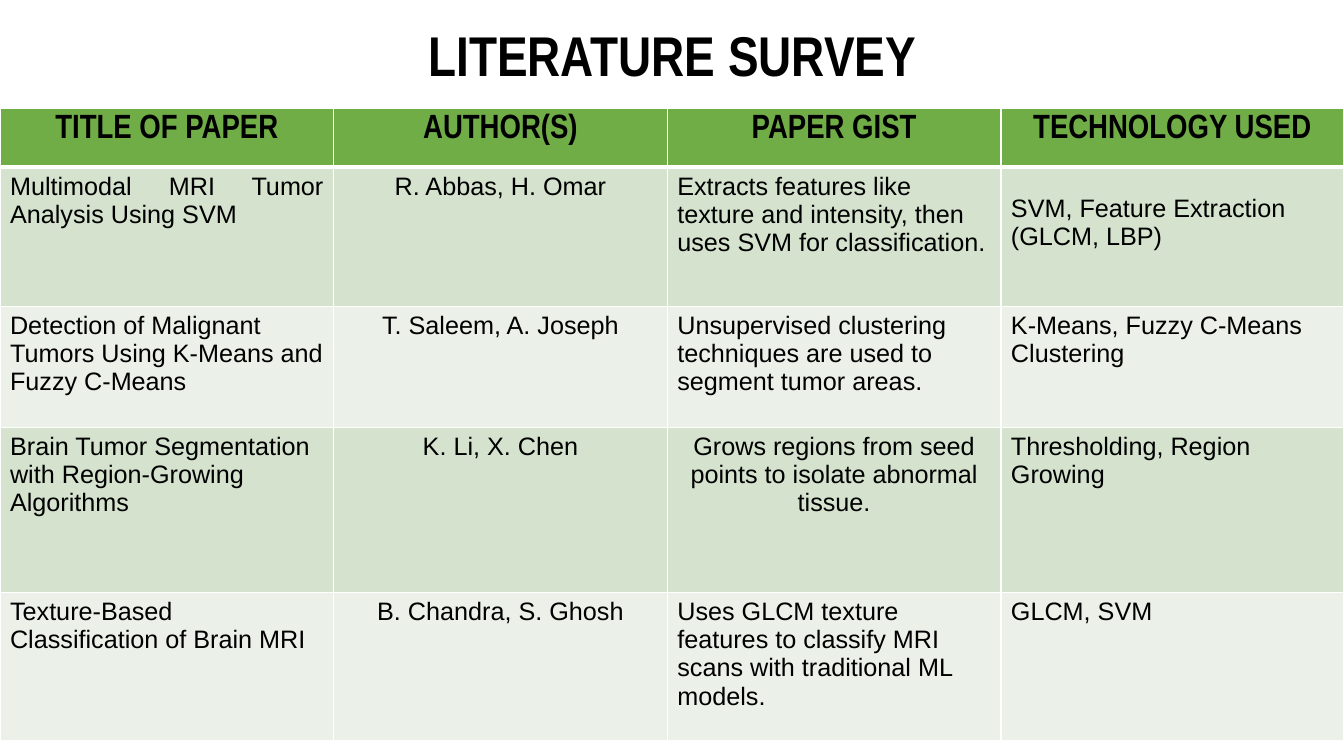
import pptx
import pptx.dml.color
import pptx.enum.text
import pptx.oxml
import pptx.oxml.ns
import pptx.util

PX = 9144  # EMU per px, 100 px to the inch
ALIGN = pptx.enum.text.PP_ALIGN
ANCHOR = pptx.enum.text.MSO_ANCHOR

THEME = {
    "ink": "000000",
    "rule": "FFFFFF",
    "header": "70AD47",
    "bands": ("D4E2CE", "EBF1E8"),
    "title_type": {"name": "Arial Narrow", "size": pptx.util.Pt(40), "bold": True},
    "header_type": {"name": "Arial Narrow", "size": pptx.util.Pt(24), "bold": True},
    "body_type": {"name": "Arial", "size": pptx.util.Pt(18), "bold": False},
}


def write(frame, text, type_format, alignment):
    paragraph = frame.paragraphs[0]
    paragraph.alignment = alignment
    run = paragraph.add_run()
    run.text = text
    for attribute, value in type_format.items():
        setattr(run.font, attribute, value)
    run.font.color.rgb = pptx.dml.color.RGBColor.from_string(THEME["ink"])


def add_border(cell, side, points):
    cell._tc.get_or_add_tcPr().append(pptx.oxml.parse_xml(
        f'<a:{side} {pptx.oxml.ns.nsdecls("a")} w="{pptx.util.Pt(points)}">'
        f'<a:solidFill><a:srgbClr val="{THEME["rule"]}"/></a:solidFill></a:{side}>'))


presentation = pptx.Presentation()
presentation.slide_width = pptx.util.Inches(13.333)
presentation.slide_height = 750 * PX
slide = presentation.slides.add_slide(presentation.slide_layouts[5])

# Title
title = slide.shapes.title
title_box = {"left": 8, "top": 15, "width": 1318, "height": 77}
for attribute, length in title_box.items():
    setattr(title, attribute, length * PX)
title_format = {"word_wrap": True, "vertical_anchor": ANCHOR.MIDDLE,
                "auto_size": pptx.enum.text.MSO_AUTO_SIZE.SHAPE_TO_FIT_TEXT}
for attribute, value in title_format.items():
    setattr(title.text_frame, attribute, value)
write(title.text_frame, "LITERATURE SURVEY", THEME["title_type"], ALIGN.CENTER)

# Survey content
survey = [
    ("TITLE OF PAPER", "AUTHOR(S)", "PAPER GIST", "TECHNOLOGY USED"),
    ("Multimodal MRI Tumor Analysis Using SVM", "R. Abbas, H. Omar",
     "Extracts features like texture and intensity, then uses SVM for classification.",
     "SVM, Feature Extraction (GLCM, LBP)"),
    ("Detection of Malignant Tumors Using K-Means and Fuzzy C-Means",
     "T. Saleem, A. Joseph",
     "Unsupervised clustering techniques are used to segment tumor areas.",
     "K-Means, Fuzzy C-Means Clustering"),
    ("Brain Tumor Segmentation with Region-Growing Algorithms", "K. Li, X. Chen",
     "Grows regions from seed points to isolate abnormal tissue.",
     "Thresholding, Region Growing"),
    ("Texture-Based Classification of Brain MRI", "B. Chandra, S. Ghosh",
     "Uses GLCM texture features to classify MRI scans with traditional ML models.",
     "GLCM, SVM"),
]
column_widths = (331, 331, 331, 340)
row_heights = (58, 138, 120, 164, 147)
column_alignments = (ALIGN.LEFT, ALIGN.CENTER, ALIGN.LEFT, ALIGN.LEFT)
special_alignments = {(1, 0): ALIGN.JUSTIFY, (3, 2): ALIGN.CENTER}

# Survey table
survey_table = slide.shapes.add_table(
    len(survey), len(column_widths), 0, 108 * PX,
    sum(column_widths) * PX, sum(row_heights) * PX).table
for column, width in zip(survey_table.columns, column_widths):
    column.width = width * PX
for row, height in zip(survey_table.rows, row_heights):
    row.height = height * PX

for r, entries in enumerate(survey):
    is_header = r == 0
    fill = THEME["header"] if is_header else THEME["bands"][(r - 1) % 2]
    type_format = THEME["header_type" if is_header else "body_type"]
    for c, text in enumerate(entries):
        cell = survey_table.cell(r, c)
        for side in ("lnL", "lnR", "lnT", "lnB"):
            thick = (r, side) in ((0, "lnB"), (1, "lnT"))
            add_border(cell, side, 3 if thick else 1)
        cell.fill.solid()
        cell.fill.fore_color.rgb = pptx.dml.color.RGBColor.from_string(fill)
        alignment = ALIGN.CENTER if is_header else column_alignments[c]
        write(cell.text_frame, text, type_format,
              special_alignments.get((r, c), alignment))

# The first technology entry sits a little above the middle of its cell
first_technology = survey_table.cell(1, 3)
first_technology.vertical_anchor = ANCHOR.MIDDLE
first_technology.margin_bottom = 33 * PX

presentation.save("out.pptx")
